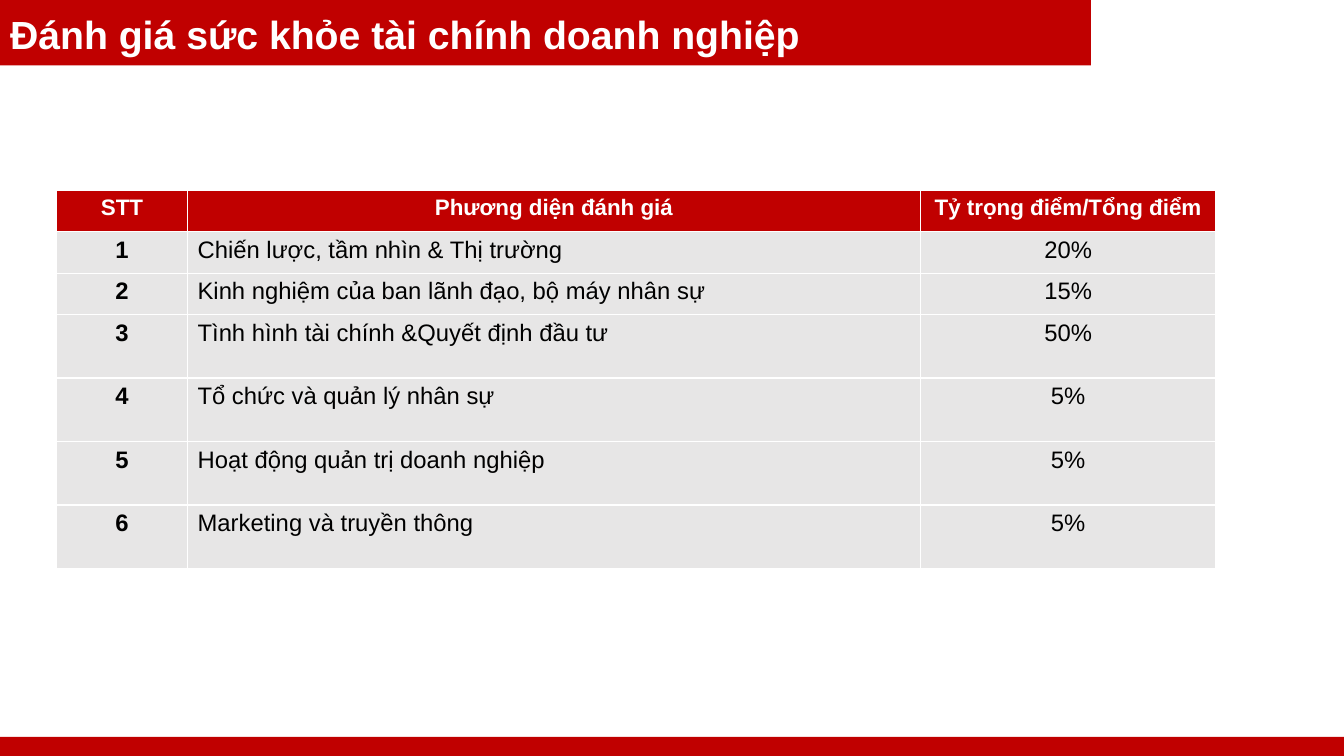
import pptx
import pptx.dml.color
import pptx.enum.shapes
import pptx.enum.text
import pptx.util
from pptx.util import Inches

FONT = "Arial"
RED, WHITE, GREY, BLACK = "C00000", "FFFFFF", "E7E6E6", "000000"
ALIGN = pptx.enum.text.PP_ALIGN

TITLE = "Đánh giá sức khỏe tài chính doanh nghiệp"
HEADER = ("STT", "Phương diện đánh giá", "Tỷ trọng điểm/Tổng điểm")
CRITERIA = [
    ("Chiến lược, tầm nhìn & Thị trường", "20%"),
    ("Kinh nghiệm của ban lãnh đạo, bộ máy nhân sự", "15%"),
    ("Tình hình tài chính &Quyết định đầu tư", "50%"),
    ("Tổ chức và quản lý nhân sự", "5%"),
    ("Hoạt động quản trị doanh nghiệp", "5%"),
    ("Marketing và truyền thông", "5%"),
]
COLUMN_WIDTHS = (1.3, 7.27, 2.93)
ROW_HEIGHTS = [0.41] * 3 + [0.63] * 4


def color(hex_code):
    return pptx.dml.color.RGBColor.from_string(hex_code)


def paint(fill, hex_code):
    fill.solid()
    fill.fore_color.rgb = color(hex_code)


def style_paragraph(para, size, hex_code, bold, align):
    para.alignment = align
    para.font.name = FONT
    para.font.size = pptx.util.Pt(size)
    para.font.bold = bold
    para.font.color.rgb = color(hex_code)


def add_band(page, left, top, width, height):
    band = page.shapes.add_shape(
        pptx.enum.shapes.MSO_SHAPE.RECTANGLE,
        Inches(left), Inches(top), Inches(width), Inches(height))
    band.shadow.inherit = False
    paint(band.fill, RED)
    band.line.fill.background()
    # Keep the band behind the title
    page.shapes.title.element.addprevious(band.element)


def place_title(page, left, top, width, height):
    title = page.shapes.title
    title.left, title.top = Inches(left), Inches(top)
    title.width, title.height = Inches(width), Inches(height)
    frame = title.text_frame
    frame.text = TITLE
    frame.word_wrap = True
    frame.auto_size = pptx.enum.text.MSO_AUTO_SIZE.NONE
    frame.vertical_anchor = pptx.enum.text.MSO_ANCHOR.MIDDLE
    para = frame.paragraphs[0]
    para.line_spacing = 0.9
    style_paragraph(para, 28, WHITE, True, ALIGN.LEFT)


def add_score_table(page, left, top):
    rows = [HEADER] + [(str(number), *criterion)
                       for number, criterion in enumerate(CRITERIA, 1)]
    table = page.shapes.add_table(
        len(rows), len(HEADER), Inches(left), Inches(top),
        Inches(sum(COLUMN_WIDTHS)), Inches(sum(ROW_HEIGHTS))).table
    table.horz_banding = False
    for column, width in zip(table.columns, COLUMN_WIDTHS):
        column.width = Inches(width)
    for row, height in zip(table.rows, ROW_HEIGHTS):
        row.height = Inches(height)

    for row_index, texts in enumerate(rows):
        is_header = row_index == 0
        for column_index, text in enumerate(texts):
            cell = table.cell(row_index, column_index)
            cell.text = text
            paint(cell.fill, RED if is_header else GREY)
            is_criterion = column_index == 1 and not is_header
            style_paragraph(
                cell.text_frame.paragraphs[0],
                16 if is_header else 17,
                WHITE if is_header else BLACK,
                is_header or column_index == 0,
                ALIGN.LEFT if is_criterion else ALIGN.CENTER)


def main():
    deck = pptx.Presentation()
    deck.slide_width, deck.slide_height = Inches(13.33), Inches(7.5)
    page = deck.slides.add_slide(deck.slide_layouts.get_by_name("Title Only"))

    # Footer and title bands
    add_band(page, 0, 7.31, 13.33, 0.19)
    add_band(page, 0, 0, 10.82, 0.65)

    # Title and scoring table
    place_title(page, 0, 0.02, 10.75, 0.69)
    add_score_table(page, 0.56, 1.89)

    deck.save("out.pptx")


if __name__ == "__main__":
    main()
